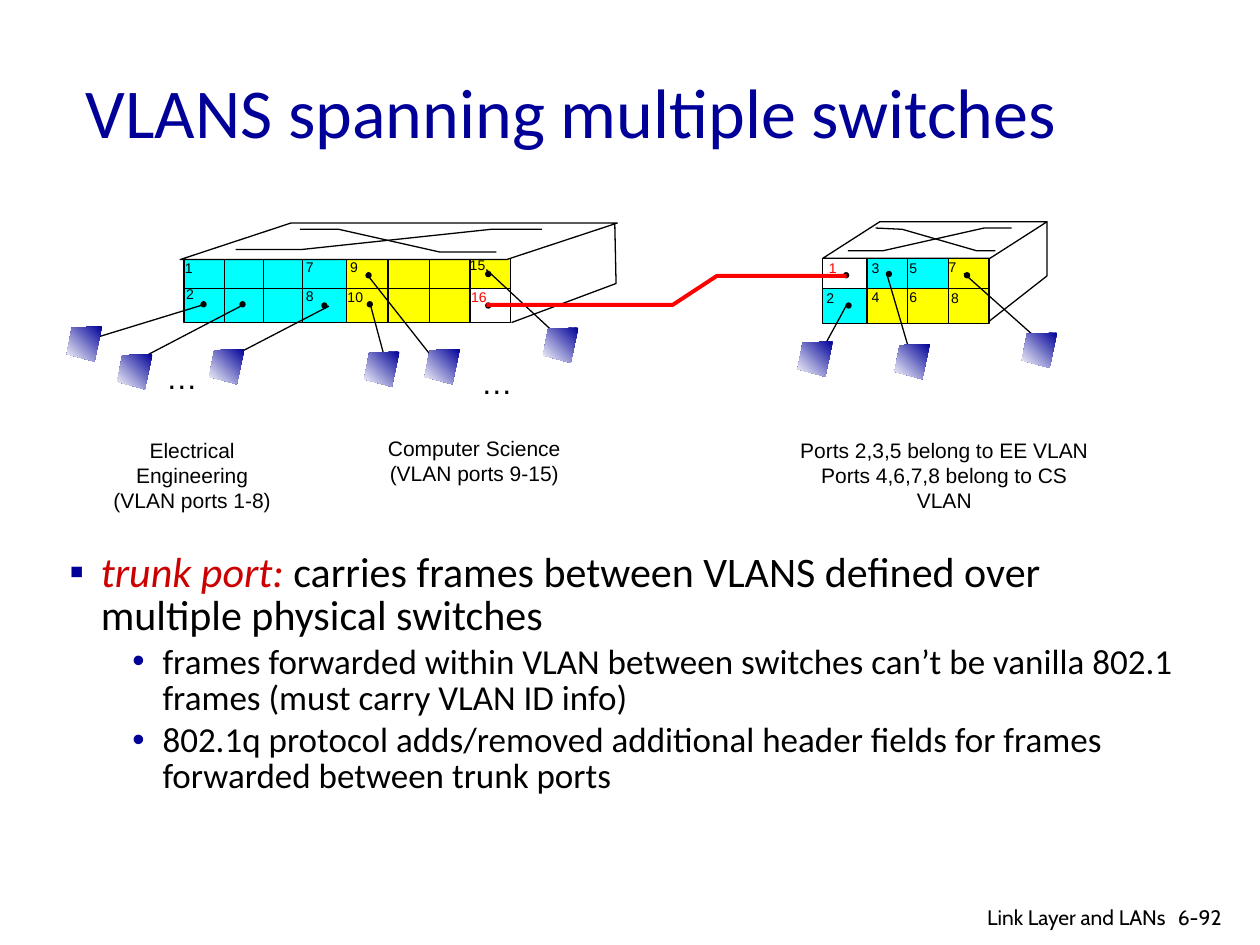
from lxml import etree
from pptx import Presentation
from pptx.dml.color import RGBColor
from pptx.enum.shapes import MSO_CONNECTOR as Connector, MSO_SHAPE as Shape
from pptx.enum.text import MSO_ANCHOR as Anchor, MSO_AUTO_SIZE as AutoSize, PP_ALIGN as Align
from pptx.oxml.ns import qn
from pptx.util import Inches, Pt

COLORS = {"navy": "000099", "crimson": "CC0000", "red": "FF0000", "black": "000000",
          "white": "FFFFFF", "cyan": "00FFFF", "yellow": "FFFF00"}

# Content
TITLE = "VLANS spanning multiple switches"
BULLETS = [  # level, runs of (text, colour, italic)
    (0, [("trunk port: ", "crimson", True),
         ("carries frames between VLANS defined over multiple physical switches", "black", False)]),
    (1, [("frames forwarded within VLAN between switches can’t be vanilla 802.1 "
          "frames (must carry VLAN ID info)", "black", False)]),
    (1, [("802.1q protocol adds/removed additional header fields for frames "
          "forwarded between trunk ports", "black", False)]),
]
LEVELS = [  # bullet, left margin, hanging indent, text size, space before
    ("▪", 0.25, -0.25, 24, 0),
    ("•", 0.74, -0.24, 20, 4),
]
SWITCHES = [
    {"columns": [1.46, 1.78, 2.09, 2.4, 2.75, 3.08, 3.41, 3.73, 4.05],
     "rows": [2.05, 2.29, 2.56],
     "ports": [["cyan"] * 4 + ["yellow"] * 4, ["cyan"] * 4 + ["yellow"] * 3 + ["white"]],
     "top": (1.43, 1.77, 3.47, 0.29), "slant": 3.03,
     "outlines": [[(4.06, 2.56), (4.89, 2.25), (4.88, 1.77)],
                  [(1.87, 1.98), (2.4, 1.98), (3.9, 1.82), (4.3, 1.82)],
                  [(2.38, 1.82), (2.69, 1.82), (3.49, 2), (3.94, 2)]]},
    {"columns": [6.53, 6.88, 7.2, 7.53, 7.85],
     "rows": [2.05, 2.29, 2.57],
     "ports": [["white", "cyan", "cyan", "yellow"], ["cyan"] + ["yellow"] * 3],
     "top": (6.53, 1.76, 1.78, 0.29), "slant": 1.56,
     "outlines": [[(8.31, 1.76), (8.31, 2.19), (7.85, 2.55)],
                  [(6.73, 1.99), (7.01, 1.99), (7.81, 1.81), (8.03, 1.81)],
                  [(6.95, 1.81), (7.16, 1.82), (7.75, 1.99), (7.9, 1.99)]]},
]
PORT_LABELS = [  # text, left, top, colour
    ("1", 1.37, 2.01, "black"), ("2", 1.38, 2.22, "black"),
    ("7", 2.33, 2, "black"), ("8", 2.33, 2.23, "black"),
    ("9", 2.68, 2, "black"), ("10", 2.66, 2.24, "black"),
    ("15", 3.63, 1.99, "black"), ("16", 3.64, 2.24, "red"),
    ("1", 6.48, 2.01, "red"), ("2", 6.46, 2.25, "black"),
    ("3", 6.82, 2.01, "black"), ("4", 6.82, 2.24, "black"),
    ("5", 7.12, 2.01, "black"), ("6", 7.12, 2.24, "black"),
    ("7", 7.43, 2, "black"), ("8", 7.45, 2.25, "black"),
]
CABLES = [  # port dot, cable start, cable end, host corner
    ((1.59, 2.39), (1.61, 2.42), (0.63, 2.72), (0.53, 2.59)),
    ((1.9, 2.39), (1.93, 2.42), (1.05, 2.88), (0.93, 2.81)),
    ((2.55, 2.4), (2.61, 2.43), (1.84, 2.83), (1.66, 2.77)),
    ((2.91, 2.39), (2.94, 2.42), (3.05, 2.83), (2.89, 2.79)),
    ((2.9, 2.16), (2.93, 2.2), (3.45, 2.86), (3.37, 2.77)),
    ((3.85, 2.15), (3.86, 2.14), (4.43, 2.67), (4.31, 2.6)),
    ((6.71, 2.4), (6.72, 2.42), (6.54, 2.75), (6.33, 2.71)),
    ((7.03, 2.15), (7.04, 2.18), (7.24, 2.86), (7.1, 2.73)),
    ((7.65, 2.16), (7.65, 2.17), (8.21, 2.67), (8.11, 2.64)),
]
HOST_OUTLINE = [(0.28, 0), (0.04, 0.01), (0, 0.22), (0.22, 0.28)]
TRUNK = [(3.86, 2.42), (5.34, 2.42), (5.69, 2.19), (6.72, 2.19)]
TRUNK_DOTS = [(3.85, 2.4), (6.69, 2.16)]
CAPTIONS = [  # lines, place, wraps
    (["Electrical Engineering", "(VLAN ports 1-8)"], (0.65, 3.42, 1.75, 0.5), True),
    (["Computer Science", "(VLAN ports 9-15)"], (2.98, 3.41, 1.57, 0.5), False),
    (["Ports 2,3,5 belong to EE VLAN", "Ports 4,6,7,8 belong to CS VLAN"],
     (6.18, 3.42, 2.63, 0.5), False),
]
ELLIPSES = [(1.22, 2.79), (3.72, 2.83)]
FOOTERS = [("6-92", (9.25, 7.13, 0.6, 0.3), Align.LEFT),
           ("Link Layer and LANs", (6.97, 7.13, 2.38, 0.26), Align.RIGHT)]

deck = Presentation()
deck.slide_width, deck.slide_height = Inches(10), Inches(7.5)
slide = deck.slides.add_slide(deck.slide_layouts[1])
shapes = slide.shapes


def rgb(name):
    return RGBColor.from_string(COLORS[name])


def inches(values):
    return [Inches(value) for value in values]


def set_font(font, **values):
    font.color.rgb = rgb(values.pop("color"))
    for name, value in values.items():
        setattr(font, name, value)


def place(shape, box):
    for name, value in zip(("left", "top", "width", "height"), inches(box)):
        setattr(shape, name, value)


def style(shape, fill=None, line=None, width=0.75):
    shape.shadow.inherit = False
    if fill:
        shape.fill.solid()
        shape.fill.fore_color.rgb = rgb(fill)
    else:
        shape.fill.background()
    if line:
        shape.line.color.rgb = rgb(line)
        shape.line.width = Pt(width)
    else:
        shape.line.fill.background()


def add_preset(kind, box, **look):
    shape = shapes.add_shape(kind, *inches(box))
    style(shape, **look)
    return shape


def add_line(start, end):
    line = shapes.add_connector(Connector.STRAIGHT, *inches(start + end))
    line.line.color.rgb = rgb("black")
    line.line.width = Pt(0.75)
    etree.SubElement(line._element.spPr, qn("a:effectLst"))


def add_outline(points, close=False, **look):
    start, *rest = [inches(point) for point in points]
    builder = shapes.build_freeform(*start)
    builder.add_line_segments(rest, close=close)
    shape = builder.convert_to_shape()
    style(shape, **look)
    return shape


def add_text(lines, box, size, color="black", font="Arial", align=Align.LEFT, wrap=False):
    frame = shapes.add_textbox(*inches(box)).text_frame
    frame.word_wrap = wrap
    frame.text = "\n".join(lines)
    for para in frame.paragraphs:
        para.alignment = align
        set_font(para.runs[0].font, name=font, size=Pt(size), color=color)


def add_bullet(para, char, margin, indent):
    props = para._p.get_or_add_pPr()
    props.set("marL", str(Inches(margin)))
    props.set("indent", str(Inches(indent)))
    tint = etree.SubElement(props, qn("a:buClr"))
    etree.SubElement(tint, qn("a:srgbClr"), val=COLORS["navy"])
    etree.SubElement(props, qn("a:buFont"), typeface="Arial")
    etree.SubElement(props, qn("a:buChar"), char=char)


# Title and bullets
title, body = shapes.title, slide.placeholders[1]
place(title, (0.58, 0.25, 8.5, 1.25))
place(body, (0.45, 4.34, 9.07, 2.94))
for holder, anchor in ((title, Anchor.MIDDLE), (body, Anchor.TOP)):
    holder.text_frame.auto_size = AutoSize.NONE
    holder.text_frame.vertical_anchor = anchor
title.text_frame.text = TITLE
heading = title.text_frame.paragraphs[0]
heading.alignment = Align.LEFT
set_font(heading.runs[0].font, name="Calibri", size=Pt(40), color="navy")
for index, (level, runs) in enumerate(BULLETS):
    para = body.text_frame.add_paragraph() if index else body.text_frame.paragraphs[0]
    char, margin, indent, size, before = LEVELS[level]
    add_bullet(para, char, margin, indent)
    para.level, para.line_spacing, para.space_before = level, 0.85, Pt(before)
    for text, color, italic in runs:
        span = para.add_run()
        span.text = text
        set_font(span.font, name="Calibri", size=Pt(size), color=color, italic=italic)

# Switches: port cells, grid lines, top face and side
for switch in SWITCHES:
    columns, rows = switch["columns"], switch["rows"]
    for top, bottom, fills in zip(rows, rows[1:], switch["ports"]):
        for left, right, fill in zip(columns, columns[1:], fills):
            add_preset(Shape.RECTANGLE, (left, top, right - left, bottom - top), fill=fill)
    add_preset(Shape.RECTANGLE, (columns[0], rows[0], columns[-1] - columns[0],
                                 rows[-1] - rows[0]), line="black")
    add_line((columns[0], rows[1]), (columns[-1], rows[1]))
    for column in columns[1:-1]:
        add_line((column, rows[0]), (column, rows[-1]))
    face = add_preset(Shape.PARALLELOGRAM, switch["top"], fill="white", line="black")
    face.adjustments[0] = switch["slant"]
    for points in switch["outlines"]:
        add_outline(points, line="black")

# Port numbers, cables and the trunk
for text, left, top, color in PORT_LABELS:
    add_text([text], (left, top, 0.26 if len(text) == 1 else 0.33, 0.23), 8, color)
for _, start, end, _ in CABLES:
    add_line(start, end)
for dot in [cable[0] for cable in CABLES] + TRUNK_DOTS:
    add_preset(Shape.OVAL, dot + (0.05, 0.05), fill="black")
add_outline(TRUNK, line="red", width=2.25)

# Hosts
for *_, (left, top) in CABLES:
    host = add_outline([(left + x, top + y) for x, y in HOST_OUTLINE], close=True)
    host.fill.gradient()
    host.fill.gradient_angle = 225
    for stop, color in zip(host.fill.gradient_stops, ("navy", "white")):
        stop.color.rgb = rgb(color)

# Captions and footer
for left, top in ELLIPSES:
    add_text(["…"], (left, top, 0.45, 0.4), 18)
for lines, box, wrap in CAPTIONS:
    add_text(lines, box, 12, align=Align.CENTER, wrap=wrap)
for text, box, align in FOOTERS:
    add_text([text], box, 12, font="Cabin", align=align, wrap=True)

deck.save("out.pptx")
